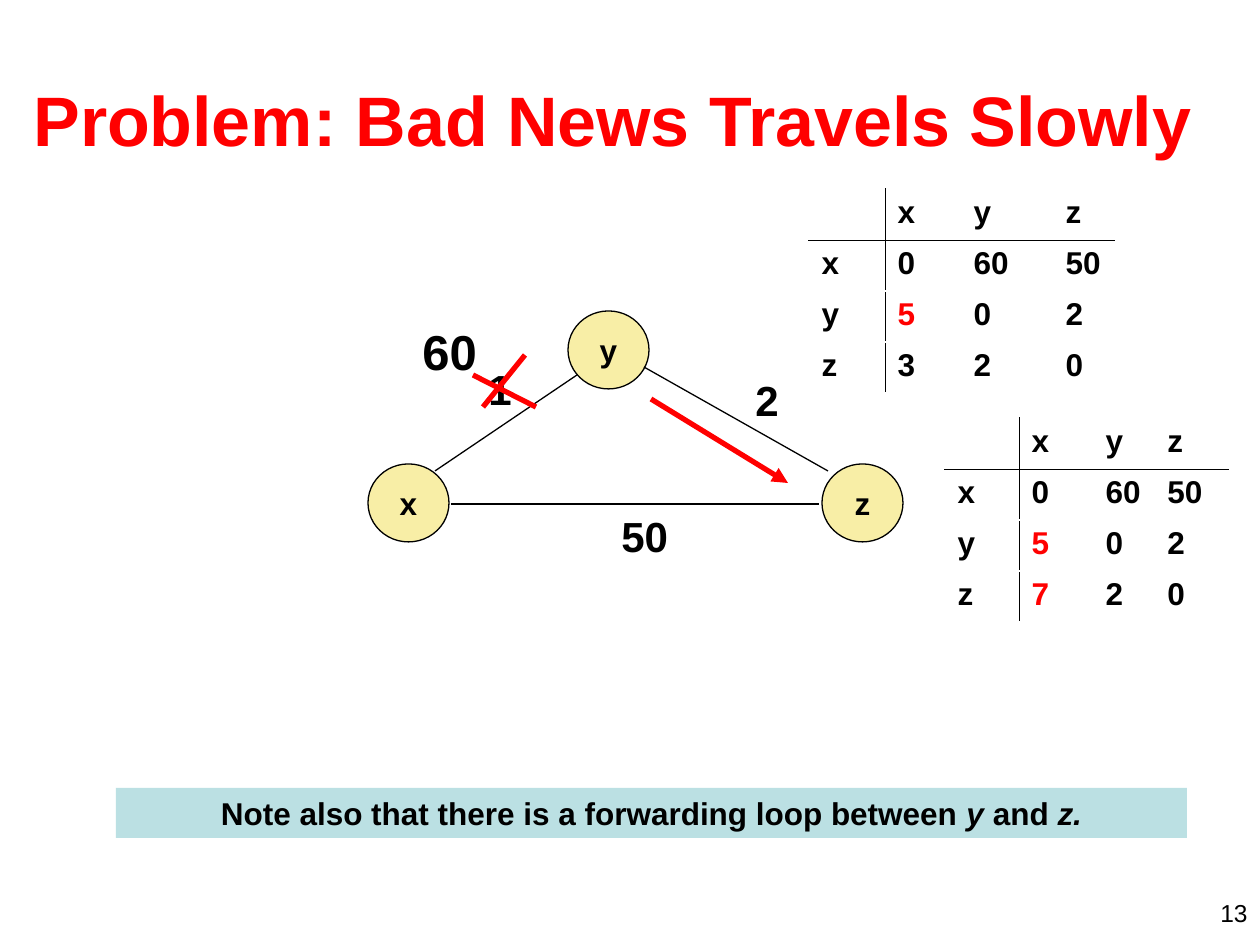
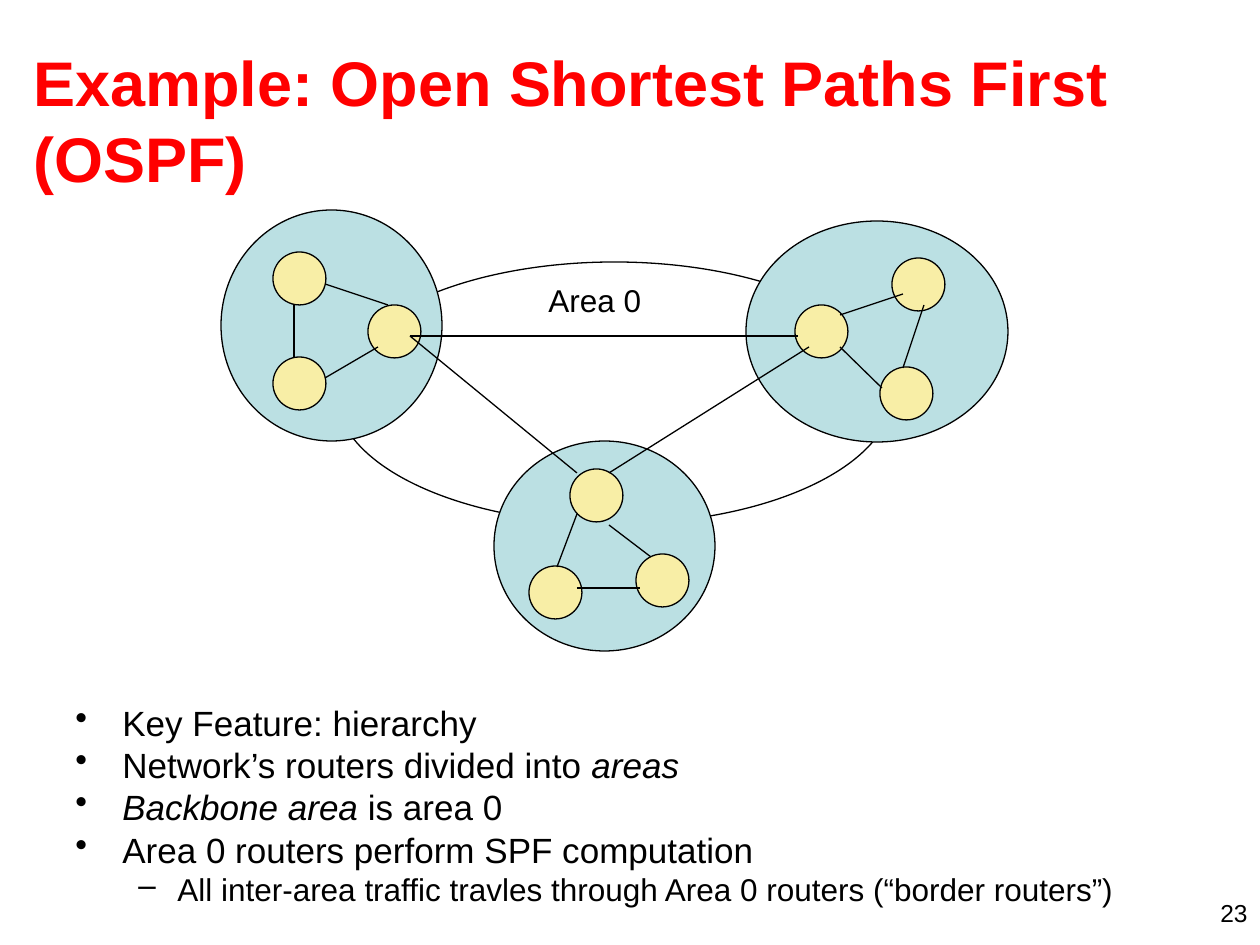
"""Build two routing slides: a distance-vector problem and an OSPF hierarchy."""
from lxml import etree
from pptx import Presentation
from pptx.dml.color import RGBColor
from pptx.enum.shapes import MSO_CONNECTOR, MSO_SHAPE
from pptx.enum.text import MSO_ANCHOR, PP_ALIGN
from pptx.oxml.ns import qn
from pptx.util import Pt

PX = 914400 // 126
FONT = "Arial"
BLACK = RGBColor(0x00, 0x00, 0x00)
RED = RGBColor(0xFF, 0x00, 0x00)
YELLOW = RGBColor(0xF8, 0xEE, 0xA6)
TEAL = RGBColor(0xBB, 0xE0, 0xE3)
OVAL, RECT = MSO_SHAPE.OVAL, MSO_SHAPE.RECTANGLE
STRAIGHT = MSO_CONNECTOR.STRAIGHT
LEFT, CENTER, RIGHT = PP_ALIGN.LEFT, PP_ALIGN.CENTER, PP_ALIGN.RIGHT
TOP, MIDDLE = MSO_ANCHOR.TOP, MSO_ANCHOR.MIDDLE
THIN, THICK = Pt(0.74), Pt(3)


def write(tf, text, size=18, bold=False, color=BLACK, align=LEFT, before=0,
          spacing=None, bullet=None, level=0, margin=0, hang=0):
    """Add a paragraph; parts between asterisks are italic."""
    p = tf.add_paragraph() if tf.text else tf.paragraphs[0]
    p.alignment, p.level = align, level
    p.space_before = Pt(before)
    if spacing:
        p.line_spacing = spacing
    if bullet:
        pPr = p._p.get_or_add_pPr()
        pPr.set("marL", str(margin * PX))
        pPr.set("indent", str(-hang * PX))
        etree.SubElement(pPr, qn("a:buChar")).set("char", bullet)
    for i, part in enumerate(text.split("*")):
        if part:
            r = p.add_run()
            r.text = part
            r.font.name, r.font.size = FONT, Pt(size)
            r.font.bold, r.font.italic = bold, i % 2 == 1
            r.font.color.rgb = color


def add_shape(s, kind, box, fill=None, outlined=True):
    """Add a flat preset shape and return it."""
    sp = s.shapes.add_shape(kind, *[v * PX for v in box])
    sp.shadow.inherit = False
    if fill is None:
        sp.fill.background()
    else:
        sp.fill.solid()
        sp.fill.fore_color.rgb = fill
    if outlined:
        sp.line.color.rgb = BLACK
        sp.line.width = THIN
    else:
        sp.line.fill.background()
    return sp


prs = Presentation()
prs.slide_width, prs.slide_height = 1260 * PX, 945 * PX
news, ospf = [prs.slides.add_slide(prs.slide_layouts[6]) for _ in range(2)]

for x, y, name in [(568, 311, "y"), (368, 464, "x"), (822, 464, "z")]:
    sp = add_shape(news, OVAL, (x, y, 81, 78), YELLOW)
    tf = sp.text_frame
    tf.word_wrap = False
    tf.vertical_anchor = MIDDLE
    write(tf, name, bold=True, align=CENTER)

add_shape(ospf, OVAL, (336, 262, 557, 262))
areas = [
    ((221, 210, 221, 231), [(273, 252), (273, 357), (368, 305)]),
    ((746, 221, 262, 221), [(795, 305), (880, 367), (892, 258)]),
    ((494, 441, 221, 210), [(570, 469), (529, 566), (636, 554)]),
]
for box, routers in areas:
    add_shape(ospf, OVAL, box, TEAL)
    for x, y in routers:
        add_shape(ospf, OVAL, (x, y, 53, 53), YELLOW)

note = add_shape(news, RECT, (116, 788, 1071, 50), TEAL, outlined=False)
note.text_frame.vertical_anchor = TOP
write(note.text_frame, "Note also that there is a forwarding loop between *y *and *z.*",
      bold=True, align=CENTER, before=11.2)

title_box, number_box = (21, 40, 1207, 158), (966, 892, 294, 32)
title = dict(bold=True, color=RED)
number = dict(size=14, align=RIGHT)
cost = dict(size=24, bold=True, before=15)
texts = [
    (news, title_box, MIDDLE, "Problem: Bad News Travels Slowly", dict(title, size=40)),
    (ospf, title_box, MIDDLE, "Example: Open Shortest Paths First (OSPF)", dict(title, size=36)),
    (news, (476, 357, 59, 63), TOP, "1", cost),
    (news, (743, 368, 59, 63), TOP, "2", cost),
    (news, (609, 504, 84, 63), TOP, "50", cost),
    (news, (410, 315, 84, 72), TOP, "60", dict(size=28, bold=True, before=17.5)),
    (ospf, (536, 275, 168, 50), TOP, "Area 0", dict(before=11.2)),
    (news, number_box, TOP, "13", number),
    (ospf, number_box, TOP, "23", number),
]
for s, box, anchor, text, fmt in texts:
    tf = s.shapes.add_textbox(*[v * PX for v in box]).text_frame
    tf.word_wrap = True
    tf.vertical_anchor = anchor
    write(tf, text, **fmt)

tf = ospf.shapes.add_textbox(63 * PX, 703 * PX, 1134 * PX, 221 * PX).text_frame
tf.word_wrap = True
for text in ["Key Feature: hierarchy", "Network’s routers divided into *areas*",
             "*Backbone area* is area 0", "Area 0 routers perform SPF computation"]:
    write(tf, text, size=20, before=5, spacing=0.8, bullet="•", margin=47, hang=47)
write(tf, "All inter-area traffic travles through Area 0 routers (“border routers”)",
      before=4.5, spacing=0.8, bullet="–", level=1, margin=102, hang=39)

links = [
    (news, BLACK, THIN, [(451, 504, 819, 504), (435, 471, 577, 375), (644, 367, 828, 471)]),
    (news, RED, THICK, [(473, 375, 536, 407), (525, 355, 483, 407), (651, 399, 788, 483)]),
    (ospf, BLACK, THIN, [
        (410, 336, 577, 473), (410, 336, 798, 336), (609, 473, 809, 347),
        (294, 305, 294, 357), (378, 347, 325, 378), (388, 305, 325, 284),
        (651, 557, 609, 525), (557, 567, 577, 514), (577, 588, 640, 588),
        (840, 315, 903, 294), (903, 368, 924, 305), (882, 388, 840, 347)]),
]
for s, color, width, ends in links:
    for end in ends:
        cx = s.shapes.add_connector(STRAIGHT, *[v * PX for v in end])
        cx.line.color.rgb = color
        cx.line.width = width
        etree.SubElement(cx._element.spPr, qn("a:effectLst"))
    if color == RED:
        ln = cx.line._get_or_add_ln()
        etree.SubElement(ln, qn("a:tailEnd")).set("type", "triangle")

tables = [
    (809, 189, [76, 76, 92, 61], "3", ["5"]),
    (945, 418, [74, 74, 62, 73], "7", ["5", "7"]),
]
for x, y, widths, z_to_x, changed in tables:
    rows = [["", "x", "y", "z"], ["x", "0", "60", "50"],
            ["y", "5", "0", "2"], ["z", z_to_x, "2", "0"]]
    table = news.shapes.add_table(4, 4, x * PX, y * PX, sum(widths) * PX, 204 * PX).table
    table.first_row = table.horz_banding = False
    for column, width in zip(table.columns, widths):
        column.width = width * PX
    for i, row in enumerate(rows):
        table.rows[i].height = 51 * PX
        for j, text in enumerate(row):
            cell = table.cell(i, j)
            cell.fill.background()
            write(cell.text_frame, text, bold=True, before=4.5,
                  color=RED if text in changed else BLACK)
            sides = [("a:lnL", j == 1), ("a:lnR", j == 0), ("a:lnT", i == 1), ("a:lnB", i == 0)]
            tcPr = cell._tc.get_or_add_tcPr()
            for k, tag in enumerate(tag for tag, ruled in sides if ruled):
                ln = etree.Element(qn(tag), w=str(Pt(0.45)))
                fill = etree.SubElement(ln, qn("a:solidFill"))
                etree.SubElement(fill, qn("a:srgbClr")).set("val", str(BLACK))
                tcPr.insert(k, ln)

prs.save("out.pptx")
